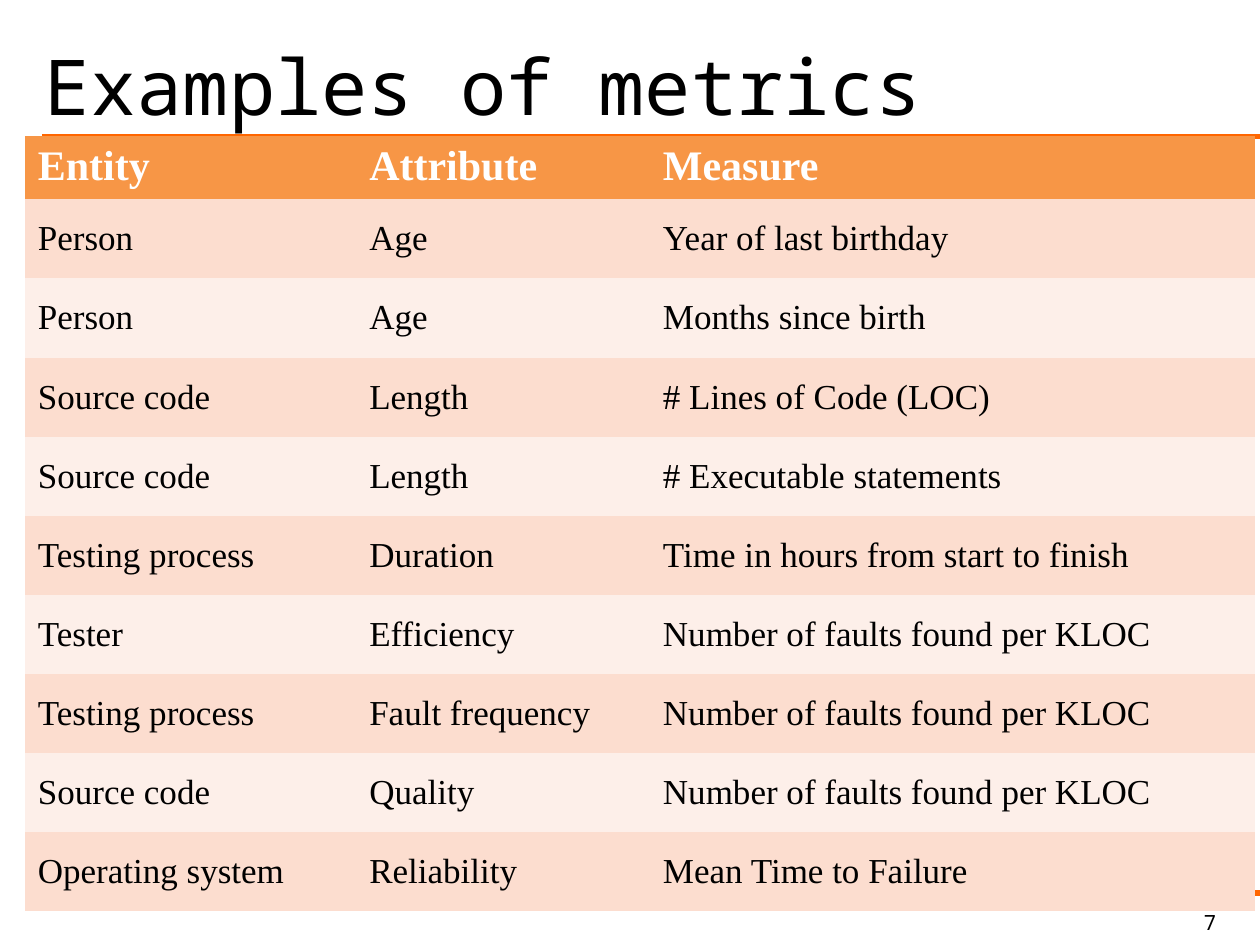
from lxml import etree
from pptx import Presentation
from pptx.dml.color import RGBColor
from pptx.enum.shapes import MSO_CONNECTOR
from pptx.enum.text import MSO_ANCHOR, MSO_AUTO_SIZE, PP_ALIGN
from pptx.oxml.ns import qn
from pptx.util import Cm, Pt

STRAIGHT = MSO_CONNECTOR.STRAIGHT
TOP, MIDDLE = MSO_ANCHOR.TOP, MSO_ANCHOR.MIDDLE
LEFT, RIGHT = PP_ALIGN.LEFT, PP_ALIGN.RIGHT
NO_AUTOSIZE = MSO_AUTO_SIZE.NONE
TITLE_ONLY = 5

BLACK = RGBColor(0x00, 0x00, 0x00)
WHITE = RGBColor(0xFF, 0xFF, 0xFF)
RULE_ORANGE = RGBColor(0xFF, 0x66, 0x00)
HEADER_ORANGE = RGBColor(0xF7, 0x96, 0x46)
BANDS = (RGBColor(0xFC, 0xDD, 0xCF), RGBColor(0xFD, 0xEF, 0xE9))

MONO = "Noto Sans Mono"
SERIF = "Times New Roman"
PLAIN_TABLE_STYLE = "{2D5ABB26-0587-4C30-8999-92F81FD0307C}"

SLIDE_WIDTH, SLIDE_HEIGHT = 25.4, 19.05
HEADER_HEIGHT = 1.27
COLUMN_WIDTHS = (6.68, 5.92, 12.19)
METRICS = (
    ("Entity", "Attribute", "Measure"),
    ("Person", "Age", "Year of last birthday"),
    ("Person", "Age", "Months since birth"),
    ("Source code", "Length", "# Lines of Code (LOC)"),
    ("Source code", "Length", "# Executable statements"),
    ("Testing process", "Duration", "Time in hours from start to finish"),
    ("Tester", "Efficiency", "Number of faults found per KLOC"),
    ("Testing process", "Fault frequency", "Number of faults found per KLOC"),
    ("Source code", "Quality", "Number of faults found per KLOC"),
    ("Operating system", "Reliability", "Mean Time to Failure"),
)


def write_text(text_frame, text, font_name, size, color, bold=False, alignment=LEFT):
    paragraph = text_frame.paragraphs[0]
    paragraph.alignment = alignment
    run = paragraph.add_run()
    run.text = text
    run.font.name = font_name
    run.font.size = Pt(size)
    run.font.color.rgb = color
    run.font.bold = bold
    return paragraph


def add_rule(slide, left, top, right):
    rule = slide.shapes.add_connector(STRAIGHT, Cm(right), Cm(top), Cm(left), Cm(top))
    rule.line.color.rgb = RULE_ORANGE
    rule.line.width = Pt(3)
    etree.SubElement(rule._element.spPr, qn("a:effectLst"))


def place_title(slide, text, left, top, width, height):
    title = slide.shapes.title
    title.left, title.top = Cm(left), Cm(top)
    title.width, title.height = Cm(width), Cm(height)
    text_frame = title.text_frame
    text_frame.auto_size = NO_AUTOSIZE
    text_frame.vertical_anchor = MIDDLE
    paragraph = write_text(text_frame, text, MONO, 44, BLACK)
    paragraph.line_spacing = 1.01
    # Bring the title in front of the rules
    slide.shapes._spTree.append(title._element)


def add_metrics_table(slide, left, top, height):
    frame = slide.shapes.add_table(
        len(METRICS), len(COLUMN_WIDTHS),
        Cm(left), Cm(top), Cm(sum(COLUMN_WIDTHS)), Cm(height))
    table = frame.table
    table._tbl.tblPr.find(qn("a:tableStyleId")).text = PLAIN_TABLE_STYLE

    for column, width in zip(table.columns, COLUMN_WIDTHS):
        column.width = Cm(width)
    body_height = (height - HEADER_HEIGHT) / (len(METRICS) - 1)

    for row_index, values in enumerate(METRICS):
        is_header = row_index == 0
        table.rows[row_index].height = Cm(HEADER_HEIGHT if is_header else body_height)
        for column_index, value in enumerate(values):
            cell = table.cell(row_index, column_index)
            cell.fill.solid()
            cell.fill.fore_color.rgb = HEADER_ORANGE if is_header else BANDS[(row_index - 1) % 2]
            cell.vertical_anchor = TOP if is_header else MIDDLE
            write_text(cell.text_frame, value, SERIF,
                       24 if is_header else 20,
                       WHITE if is_header else BLACK, bold=is_header)


def add_page_number(slide, number, left, top, width, height):
    box = slide.shapes.add_textbox(Cm(left), Cm(top), Cm(width), Cm(height))
    box.text_frame.word_wrap = True
    write_text(box.text_frame, number, MONO, 12, BLACK, alignment=RIGHT)


def main():
    presentation = Presentation()
    presentation.slide_width = Cm(SLIDE_WIDTH)
    presentation.slide_height = Cm(SLIDE_HEIGHT)
    slide = presentation.slides.add_slide(presentation.slide_layouts[TITLE_ONLY])

    # Rules under the title and above the footer
    add_rule(slide, 0.85, 2.75, SLIDE_WIDTH)
    add_rule(slide, 1.9, 18, SLIDE_WIDTH)

    # Title, table and page number
    place_title(slide, "Examples of metrics", 0.64, -0.3, 23.9, 3.99)
    add_metrics_table(slide, 0.51, 2.75, 15.62)
    add_page_number(slide, "7", 20.96, 18.21, 3.81, 0.84)

    presentation.save("out.pptx")


if __name__ == "__main__":
    main()
